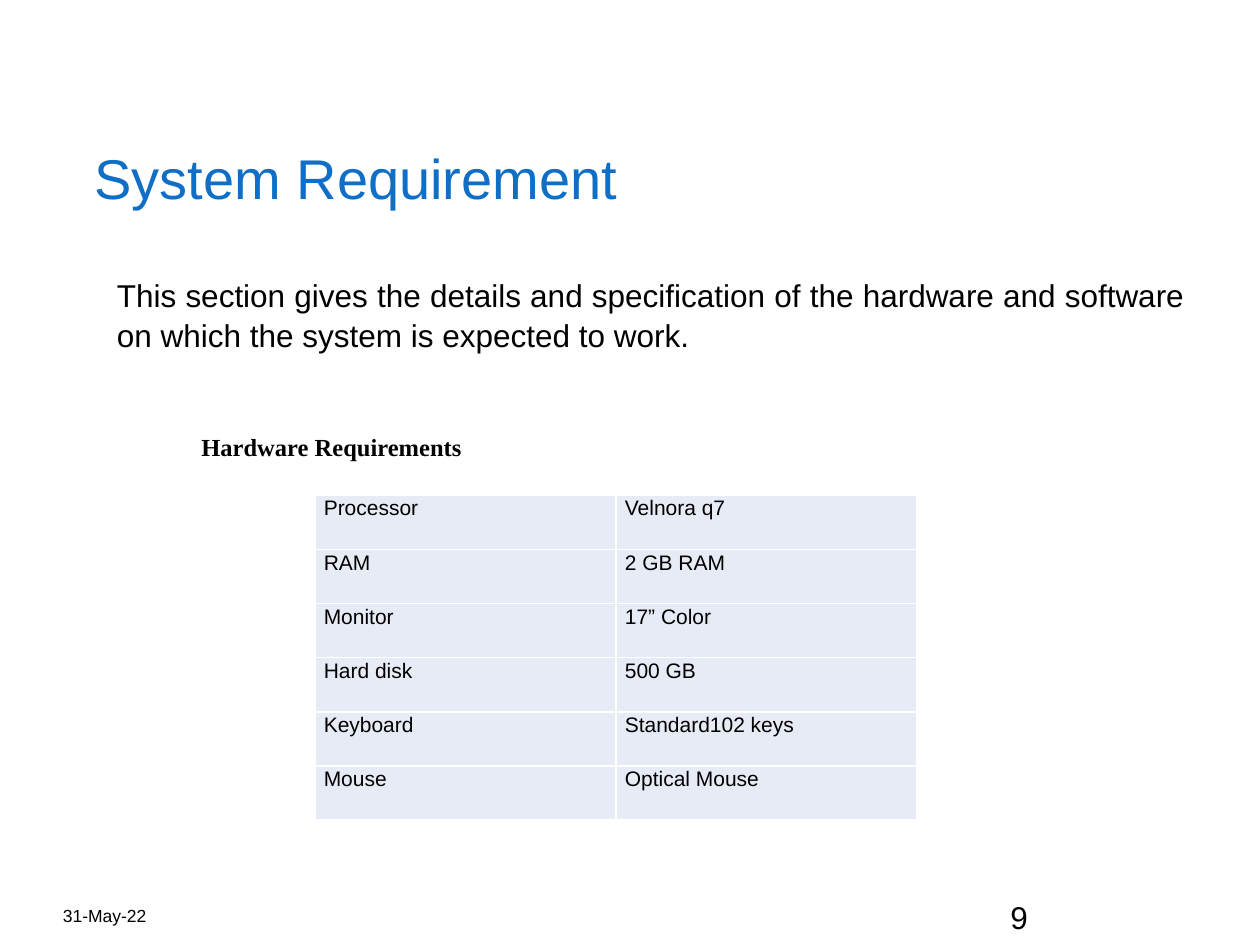
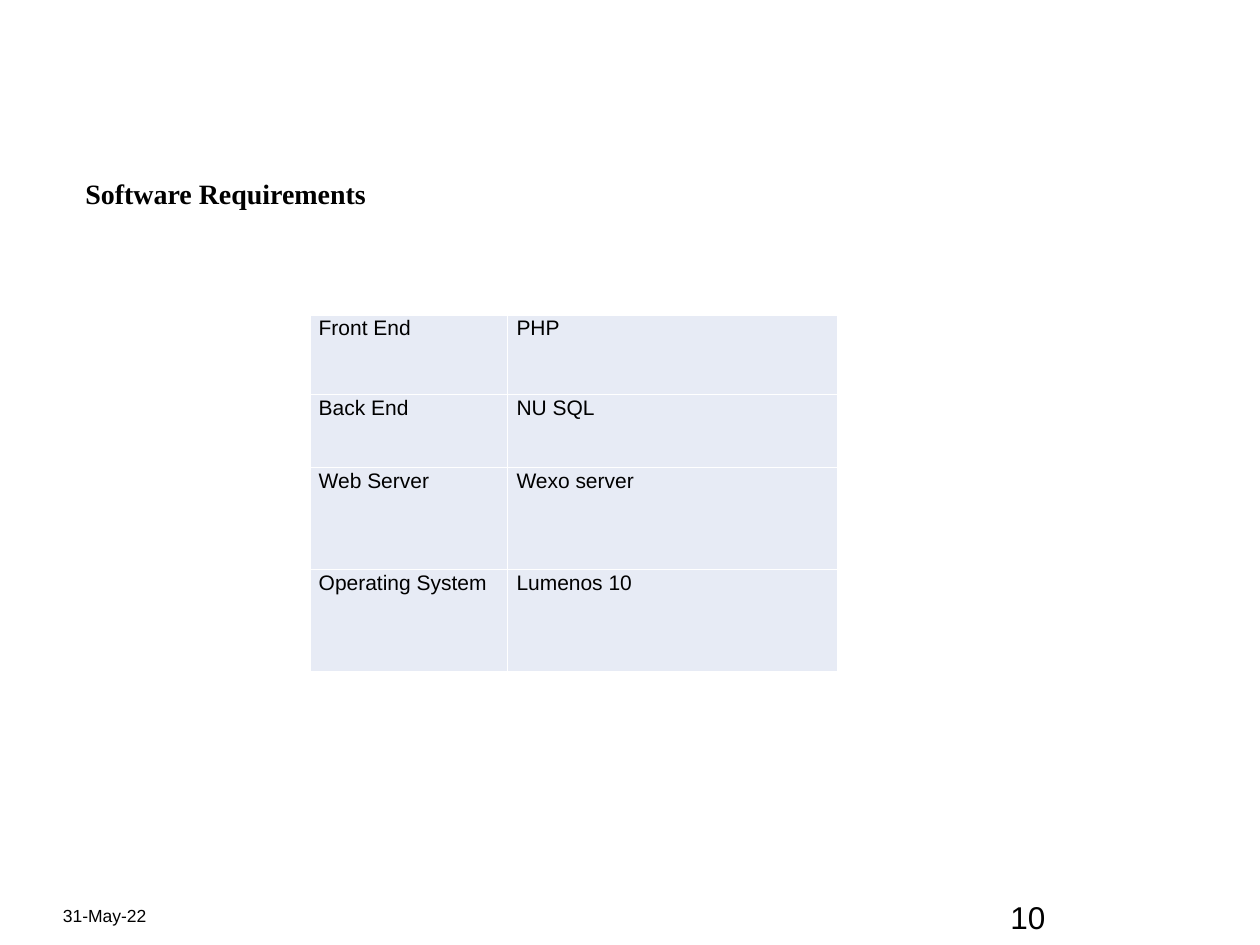
from dataclasses import dataclass
from typing import Optional

from lxml.etree import SubElement
from pptx import Presentation
from pptx.dml.color import RGBColor
from pptx.enum.text import MSO_ANCHOR, PP_ALIGN
from pptx.oxml.ns import qn
from pptx.slide import Slide
from pptx.table import _Cell
from pptx.util import Inches, Pt

COLORS = {"title": "0F6FC6", "text": "000000", "cell": "E7EBF5", "border": "FFFFFF"}
SANS = "Arial"
SERIF = "Times New Roman"


@dataclass(frozen=True)
class TextStyle:
    size: float
    font: str = SANS
    color: str = "text"
    bold: bool = False
    anchor: MSO_ANCHOR = MSO_ANCHOR.TOP
    align: PP_ALIGN = PP_ALIGN.LEFT
    line_spacing: Optional[float] = None
    space_after: float = 0
    insets: tuple[float, float, float, float] = (0.1, 0.05, 0.1, 0.05)


@dataclass(frozen=True)
class Label:
    text: str
    box: tuple[float, float, float, float]
    style: TextStyle


@dataclass(frozen=True)
class SpecTable:
    left: float
    top: float
    column_widths: tuple[float, ...]
    row_heights: tuple[float, ...]
    entries: tuple[tuple[str, str], ...]


@dataclass(frozen=True)
class RequirementPage:
    number: int
    labels: tuple[Label, ...]
    specs: SpecTable


TITLE = TextStyle(32, color="title", anchor=MSO_ANCHOR.BOTTOM, insets=(0.25, 0.05, 0, 0))
INTRO = TextStyle(18, align=PP_ALIGN.JUSTIFY, line_spacing=1.07, space_after=8,
                  insets=(0.1, 0.4, 0.1, 0.05))
HARDWARE_HEADING = TextStyle(14, font=SERIF, bold=True, insets=(0.1, 0.07, 0.1, 0.05))
SOFTWARE_HEADING = TextStyle(16, font=SERIF, bold=True)
CELL = TextStyle(12, line_spacing=1.07, space_after=8, insets=(0.07, 0, 0.07, 0))
DATE = TextStyle(10, anchor=MSO_ANCHOR.BOTTOM, insets=(0, 0, 0, 0))
PAGE_NUMBER = TextStyle(18)

PAGES = (
    RequirementPage(
        9,
        (
            Label("System Requirement", (0.5, 0.77, 9, 0.9), TITLE),
            Label("This section gives the details and specification of the hardware "
                  "and software on which the system is expected to work.",
                  (0.83, 1.77, 8.67, 5.73), INTRO),
            Label("Hardware Requirements", (1.5, 3.36, 2.53, 0.57), HARDWARE_HEADING),
        ),
        SpecTable(2.5, 3.93, (2.39, 2.39), (0.43,) * 6, (
            ("Processor", "Velnora q7"),
            ("RAM", "2 GB RAM"),
            ("Monitor", "17” Color"),
            ("Hard disk", "500 GB"),
            ("Keyboard", "Standard102 keys"),
            ("Mouse", "Optical Mouse"),
        )),
    ),
    RequirementPage(
        10,
        (Label("Software Requirements", (0.58, 1.35, 9, 4.8), SOFTWARE_HEADING),),
        SpecTable(2.46, 2.5, (1.57, 2.62), (0.63, 0.58, 0.81, 0.81), (
            ("Front End", "PHP"),
            ("Back End", "NU SQL"),
            ("Web Server", "Wexo server"),
            ("Operating System", "Lumenos 10"),
        )),
    ),
)


def rgb(name: str) -> RGBColor:
    return RGBColor.from_string(COLORS[name])


def write_text(holder, text: str, style: TextStyle) -> None:
    """Fill a text frame or a table cell; both share margins and anchor."""
    holder.margin_left, holder.margin_top, holder.margin_right, holder.margin_bottom = (
        Inches(inset) for inset in style.insets)
    holder.vertical_anchor = style.anchor
    frame = holder.text_frame if isinstance(holder, _Cell) else holder
    frame.word_wrap = True
    paragraph = frame.paragraphs[0]
    paragraph.text = text
    paragraph.alignment = style.align
    paragraph.line_spacing = style.line_spacing
    paragraph.space_after = Pt(style.space_after)
    paragraph.font.name = style.font
    paragraph.font.size = Pt(style.size)
    paragraph.font.bold = style.bold
    paragraph.font.color.rgb = rgb(style.color)


def add_label(slide: Slide, label: Label) -> None:
    box = slide.shapes.add_textbox(*(Inches(length) for length in label.box))
    write_text(box.text_frame, label.text, label.style)


def add_borders(cell: _Cell) -> None:
    properties = cell._tc.get_or_add_tcPr()
    for side in ("lnL", "lnR", "lnT", "lnB"):
        line = SubElement(properties, qn(f"a:{side}"), w=str(Pt(1)))
        fill = SubElement(line, qn("a:solidFill"))
        SubElement(fill, qn("a:srgbClr"), val=COLORS["border"])


def add_specs(slide: Slide, specs: SpecTable) -> None:
    table = slide.shapes.add_table(
        len(specs.row_heights), len(specs.column_widths),
        Inches(specs.left), Inches(specs.top),
        Inches(sum(specs.column_widths)), Inches(sum(specs.row_heights))).table
    table.first_row = False
    table.horz_banding = False
    for column, width in zip(table.columns, specs.column_widths):
        column.width = Inches(width)
    for row, height, entry in zip(table.rows, specs.row_heights, specs.entries):
        row.height = Inches(height)
        for cell, text in zip(row.cells, entry):
            write_text(cell, text, CELL)
            add_borders(cell)
            cell.fill.solid()
            cell.fill.fore_color.rgb = rgb("cell")


def add_footer(slide: Slide, number: int) -> None:
    add_label(slide, Label("31-May-22", (0.5, 6.95, 2.33, 0.4), DATE))
    add_label(slide, Label(str(number), (7.92, 7.08, 1.58, 0.42), PAGE_NUMBER))


def main() -> None:
    presentation = Presentation()
    presentation.slide_width = Inches(10)
    presentation.slide_height = Inches(7.5)
    blank = presentation.slide_layouts[6]
    for page in PAGES:
        slide = presentation.slides.add_slide(blank)
        for label in page.labels:
            add_label(slide, label)
        add_specs(slide, page.specs)
        add_footer(slide, page.number)
    presentation.save("out.pptx")


if __name__ == "__main__":
    main()
